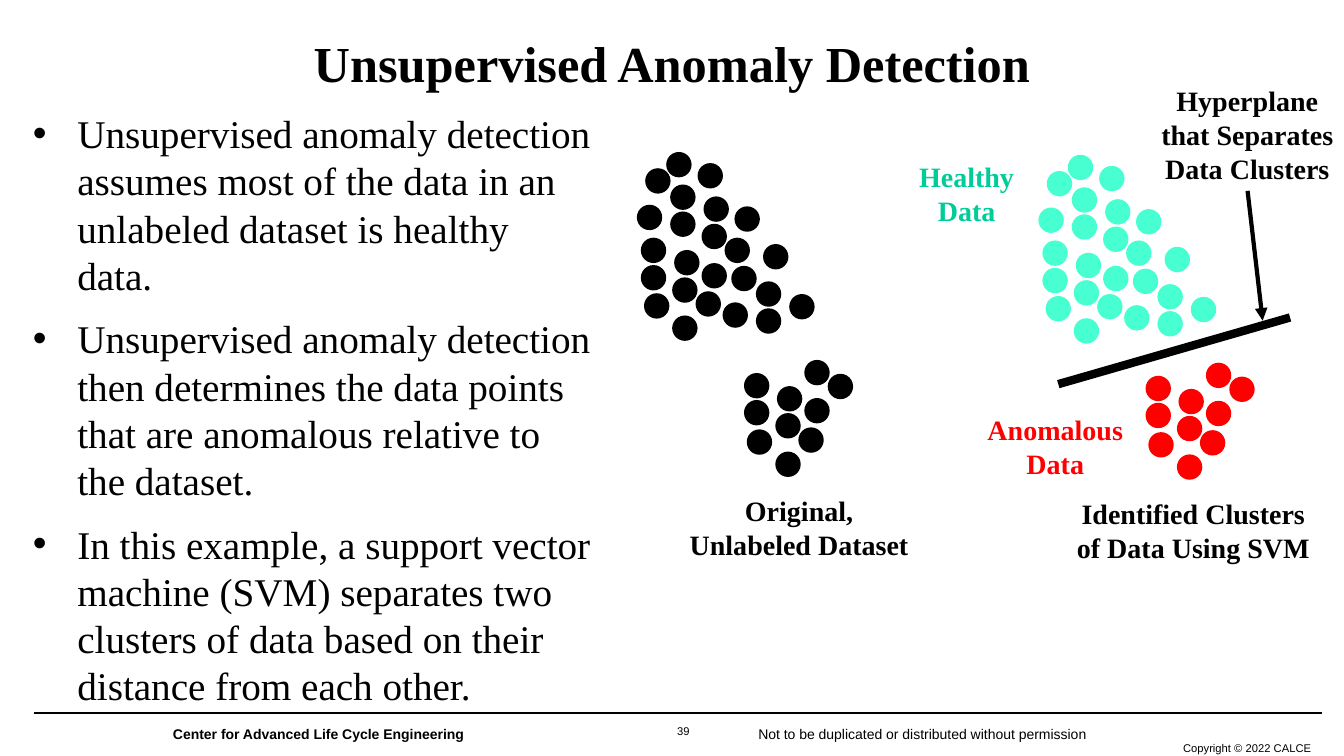
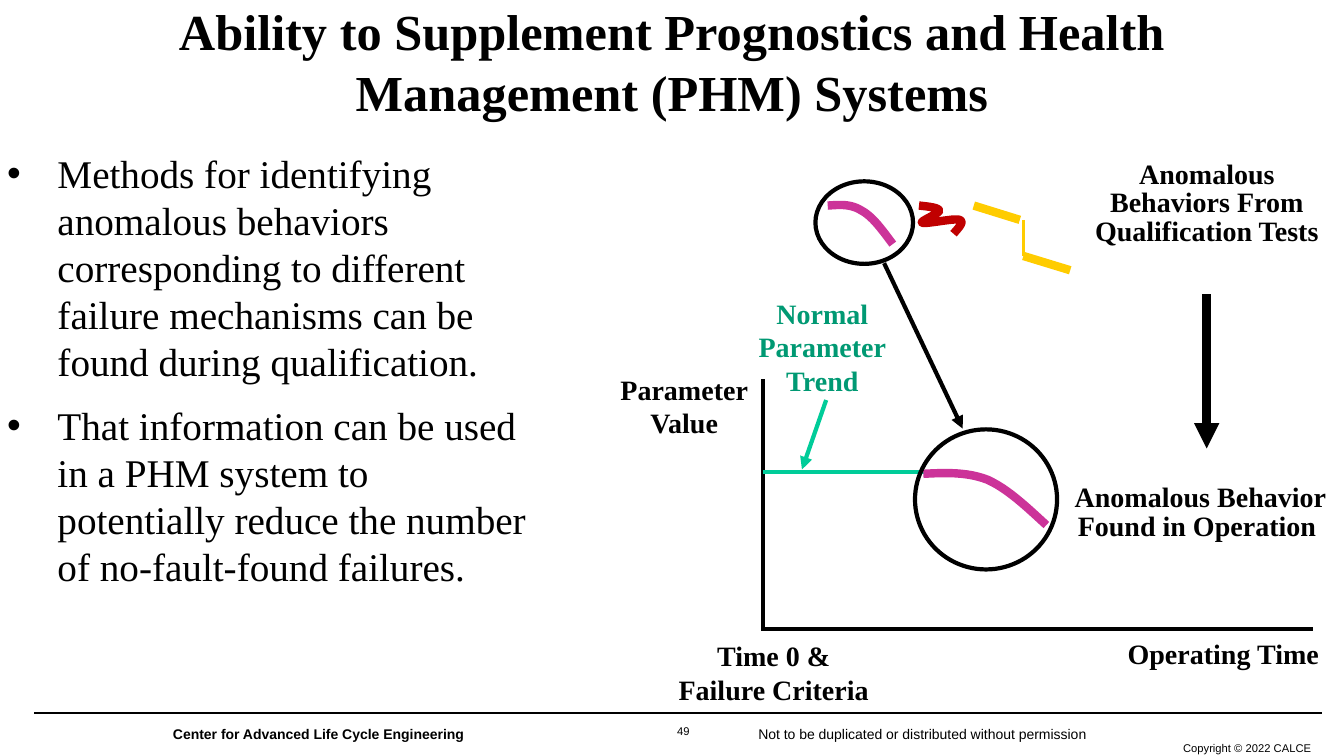
from lxml.etree import SubElement
from pptx import Presentation
from pptx.dml.color import RGBColor
from pptx.enum.shapes import MSO_CONNECTOR, MSO_SHAPE
from pptx.enum.text import MSO_ANCHOR, PP_ALIGN
from pptx.oxml.ns import qn
from pptx.util import Cm, Pt

BLACK = RGBColor(0x00, 0x00, 0x00)
MINT = RGBColor(0x47, 0xFF, 0xD1)
GREEN = RGBColor(0x00, 0xCC, 0x99)
DARK_GREEN = RGBColor(0x00, 0x99, 0x73)
RED = RGBColor(0xFF, 0x00, 0x00)
DARK_RED = RGBColor(0xC0, 0x00, 0x00)
YELLOW = RGBColor(0xFF, 0xCC, 0x00)
PINK = RGBColor(0xCC, 0x33, 0x99)
SERIF, SANS = "Times New Roman", "Arial"

FOOTERS = [
    ("Center for Advanced Life Cycle Engineering", (4.11, 18.16, 12, 0.69), 10, True, PP_ALIGN.LEFT),
    ("Not to be duplicated or distributed without permission", (18.86, 18.16, 10, 0.69), 10, False, PP_ALIGN.LEFT),
    ("Copyright © 2022 CALCE", (28.02, 18.56, 5.28, 0.61), 8, False, PP_ALIGN.RIGHT),
]

DOT = 0.64
CLUSTER_SHIFT = (10.12, 0.07)
HEALTHY_DOTS = [
    (16.15, 5.99), (16.89, 4.65), (16.15, 6.68), (16.89, 5.33), (16.99, 6.3), (17.73, 4.95),
    (16.94, 6.99), (17.68, 5.64), (16.94, 7.95), (17.68, 6.63), (16.05, 5.16), (16.79, 3.83),
    (17.53, 7.34), (18.26, 5.99), (16.26, 4.24), (16.23, 7.39), (19.05, 7.09), (19.05, 7.77),
    (19.89, 7.41), (18.21, 7.62), (18.43, 6.7), (17.58, 4.11), (18.51, 5.2), (19.23, 6.15),
]
ANOMALOUS_DOTS = [
    (18.75, 9.4), (18.75, 10.08), (19.58, 9.73), (19.54, 10.41), (20.27, 9.07),
    (19.54, 11.38), (20.27, 10.03), (20.12, 10.77), (20.86, 9.42), (18.82, 10.82),
]

DETECTION = {
    "number": "39",
    "title": ("Unsupervised Anomaly Detection", (0, 0, 33.87, 3.12)),
    "body": (0.43, 2.64, 14.72, 14.38),
    "hanging": 1.12,
    "bullets": [
        "Unsupervised anomaly detection assumes most of the data in an unlabeled dataset is healthy data.",
        "Unsupervised anomaly detection then determines the data points that are anomalous relative to the dataset.",
        "In this example, a support vector machine (SVM) separates two clusters of data based on their distance from each other.",
    ],
    "labels": [
        ("Original,\vUnlabeled Dataset", (17.03, 12.32, 6.22, 1.96), BLACK),
        ("Identified Clusters\vof Data Using SVM", (26.71, 12.39, 6.73, 1.96), BLACK),
        ("Healthy\vData", (22.86, 3.9, 3, 1.96), GREEN),
        ("Anomalous\vData", (24.32, 10.27, 4.55, 1.96), RED),
        ("Hyperplane\vthat Separates\vData Clusters", (28.87, 1.99, 5.13, 2.82), BLACK),
    ],
    "lines": [
        ((26.67, 9.68), (32.51, 8), BLACK, 6, False),
        ((31.44, 4.81), (31.82, 8.08), BLACK, 3, True),
    ],
}

PHM = {
    "number": "49",
    "title": ("Ability to Supplement Prognostics and Health Management (PHM) Systems",
              (3.04, -0.06, 27.79, 3.18)),
    "body": (-0.07, 3.63, 14, 11.46),
    "hanging": 1.27,
    "bullets": [
        "Methods for identifying anomalous behaviors corresponding to different failure mechanisms can be found during qualification.",
        "That information can be used in a PHM system to potentially reduce the number of no-fault-found failures.",
    ],
    "labels": [
        ("Operating Time", (28.11, 15.91, 5.44, 1.12), BLACK),
        ("Time 0 &\vFailure Criteria", (16.78, 15.97, 5.44, 1.96), BLACK),
        ("Normal\vParameter\vTrend", (18.68, 7.34, 4.09, 2.82), DARK_GREEN),
        ("Parameter\vValue", (15.38, 9.25, 3.73, 1.96), BLACK),
    ],
    "lines": [
        ((24.54, 5.18), (25.7, 5.54), YELLOW, 6, False),
        ((25.79, 5.54), (25.79, 6.45), YELLOW, 2.25, False),
        ((25.79, 6.45), (26.97, 6.81), YELLOW, 6, False),
        ((30.41, 7.42), (30.41, 11.3), BLACK, 6, True),
        ((19.23, 15.9), (19.23, 9.55), BLACK, 3, False),
        ((19.23, 15.85), (33.1, 15.85), BLACK, 3, False),
        ((20.82, 10.08), (20.21, 11.83), GREEN, 3, True),
        ((19.23, 11.9), (23.32, 11.9), GREEN, 3, False),
        ((22.28, 6.63), (24.26, 10.8), BLACK, 3, True),
    ],
}
BEHAVIOR_LABELS = [
    ("Anomalous\vBehaviors From\vQualification Tests", (26.96, 3.28, 6.91, 3.73)),
    ("Anomalous Behavior\vFound in Operation ", (26.8, 11.08, 6.91, 3.73)),
]
CURVES = [
    (DARK_RED, (23.16, 5.18), [
        ((23.42, 5.21), (23.65, 5.23), (23.67, 5.31)),
        ((23.67, 5.38), (23.16, 5.59), (23.24, 5.61)),
        ((23.32, 5.66), (24.05, 5.49), (24.18, 5.54)),
        ((24.31, 5.59), (24.16, 5.74), (24.03, 5.89))]),
    (PINK, (20.86, 5.18), [
        ((21.16, 5.16), (21.44, 5.13), (21.72, 5.31)),
        ((22, 5.46), (22.25, 5.82), (22.5, 6.15))]),
    (PINK, (23.27, 11.94), [
        ((23.83, 11.91), (24.38, 11.89), (24.89, 12.09)),
        ((25.4, 12.32), (25.88, 12.78), (26.37, 13.23))]),
]
RINGS = [(20.55, 4.57, 2.46, 2.08), (23.06, 10.82, 3.58, 3.53)]
CURVE_STEPS = 12


def cm(values):
    return [Cm(v) for v in values]


def style(p, size, color=BLACK, bold=False, font=SERIF):
    for r in p.runs:
        r.font.name, r.font.size, r.font.bold = font, Pt(size), bold
        r.font.color.rgb = color


def add_text(s, text, box, size, color=BLACK, bold=False, font=SERIF,
             align=PP_ALIGN.CENTER, spacing=None, anchor=MSO_ANCHOR.TOP):
    tf = s.shapes.add_textbox(*cm(box)).text_frame
    tf.word_wrap = True
    tf.vertical_anchor = anchor
    p = tf.paragraphs[0]
    p.text = text
    p.alignment = align
    p.line_spacing = spacing
    style(p, size, color, bold, font)


def add_line(s, start, end, color, width, arrow=False):
    line = s.shapes.add_connector(MSO_CONNECTOR.STRAIGHT, *cm(start + end))
    line.line.color.rgb = color
    line.line.width = Pt(width)
    if arrow:
        SubElement(line.line._get_or_add_ln(), qn("a:tailEnd"), type="triangle")
    SubElement(line._element.spPr, qn("a:effectLst"))


def add_ellipse(s, box, fill=None):
    sp = s.shapes.add_shape(MSO_SHAPE.OVAL, *cm(box))
    sp.shadow.inherit = False
    if fill is None:
        sp.fill.background()
        sp.line.color.rgb = BLACK
        sp.line.width = Pt(3)
    else:
        sp.fill.solid()
        sp.fill.fore_color.rgb = fill
        sp.line.fill.background()


def add_dots(s, dots, color, shift=(0, 0)):
    for x, y in dots:
        add_ellipse(s, (x + shift[0], y + shift[1], DOT, DOT), color)


def bezier(points, t):
    weights = ((1 - t) ** 3, 3 * t * (1 - t) ** 2, 3 * t ** 2 * (1 - t), t ** 3)
    return [Cm(sum(w * pt[axis] for w, pt in zip(weights, points))) for axis in (0, 1)]


def add_curve(s, color, start, segments):
    builder = s.shapes.build_freeform(*cm(start))
    for segment in segments:
        points = (start, *segment)
        builder.add_line_segments(
            [bezier(points, i / CURVE_STEPS) for i in range(1, CURVE_STEPS + 1)], close=False)
        start = segment[-1]
    sp = builder.convert_to_shape()
    sp.shadow.inherit = False
    sp.fill.background()
    sp.line.color.rgb = color
    sp.line.width = Pt(6)


def add_title(s, text, box):
    sp = s.shapes.title
    sp.left, sp.top, sp.width, sp.height = cm(box)
    tf = sp.text_frame
    tf.text = text
    tf.vertical_anchor = MSO_ANCHOR.MIDDLE
    p = tf.paragraphs[0]
    p.alignment = PP_ALIGN.CENTER
    style(p, 36, bold=True)


def add_bullets(s, bullets, box, hanging):
    tf = s.shapes.add_textbox(*cm(box)).text_frame
    tf.word_wrap = True
    tf.text = "\n".join(bullets)
    for i, p in enumerate(tf.paragraphs):
        pPr = p._p.get_or_add_pPr()
        pPr.set("marL", str(Cm(1.27)))
        pPr.set("indent", str(-Cm(hanging)))
        SubElement(pPr, qn("a:buFont"), typeface=SANS)
        SubElement(pPr, qn("a:buChar"), char="•")
        p.space_before = Pt(6 if i else 0)
        p.space_after = Pt(6)
        style(p, 28)


def add_footer(s, number):
    add_line(s, (0.86, 17.97), (33.31, 17.97), BLACK, 1.25)
    add_text(s, number, (16.79, 18.19, 0.86, 0.56), 8, font=SANS, spacing=0.85)
    for text, box, size, bold, align in FOOTERS:
        add_text(s, text, box, size, bold=bold, font=SANS, align=align)


def add_content_slide(prs, content):
    s = prs.slides.add_slide(prs.slide_layouts[5])
    add_footer(s, content["number"])
    add_title(s, *content["title"])
    add_bullets(s, content["bullets"], content["body"], content["hanging"])
    for text, box, color in content["labels"]:
        add_text(s, text, box, 20, color, bold=True)
    for line in content["lines"]:
        add_line(s, *line)
    return s


def main():
    prs = Presentation()
    prs.slide_width, prs.slide_height = Cm(33.87), Cm(19.05)

    s = add_content_slide(prs, DETECTION)
    add_dots(s, HEALTHY_DOTS + ANOMALOUS_DOTS, BLACK)
    add_dots(s, HEALTHY_DOTS, MINT, CLUSTER_SHIFT)
    add_dots(s, ANOMALOUS_DOTS, RED, CLUSTER_SHIFT)

    s = add_content_slide(prs, PHM)
    for text, box in BEHAVIOR_LABELS:
        add_text(s, text, box, 20, bold=True, spacing=0.85, anchor=MSO_ANCHOR.MIDDLE)
    for curve in CURVES:
        add_curve(s, *curve)
    for box in RINGS:
        add_ellipse(s, box)

    prs.save("out.pptx")


if __name__ == "__main__":
    main()
